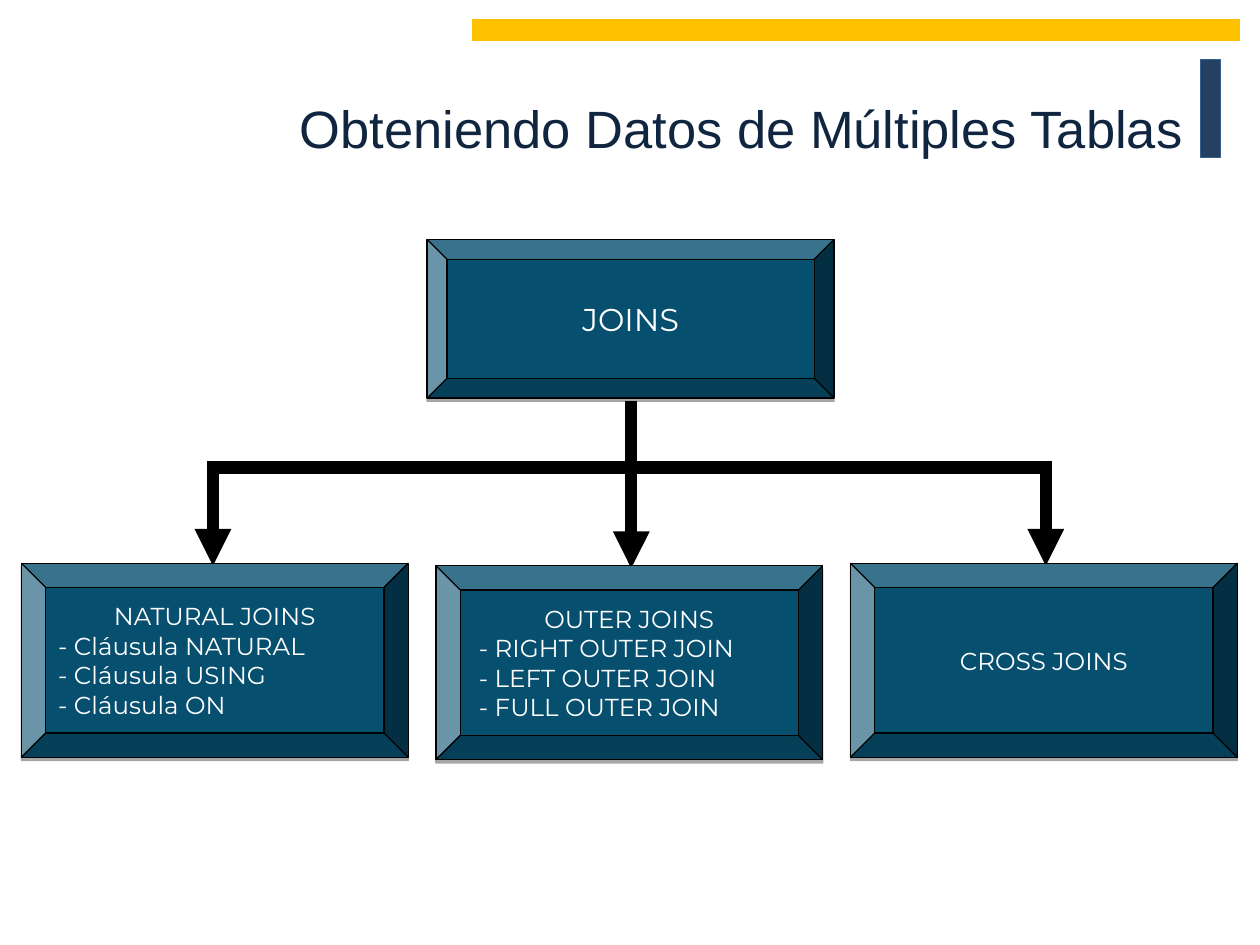
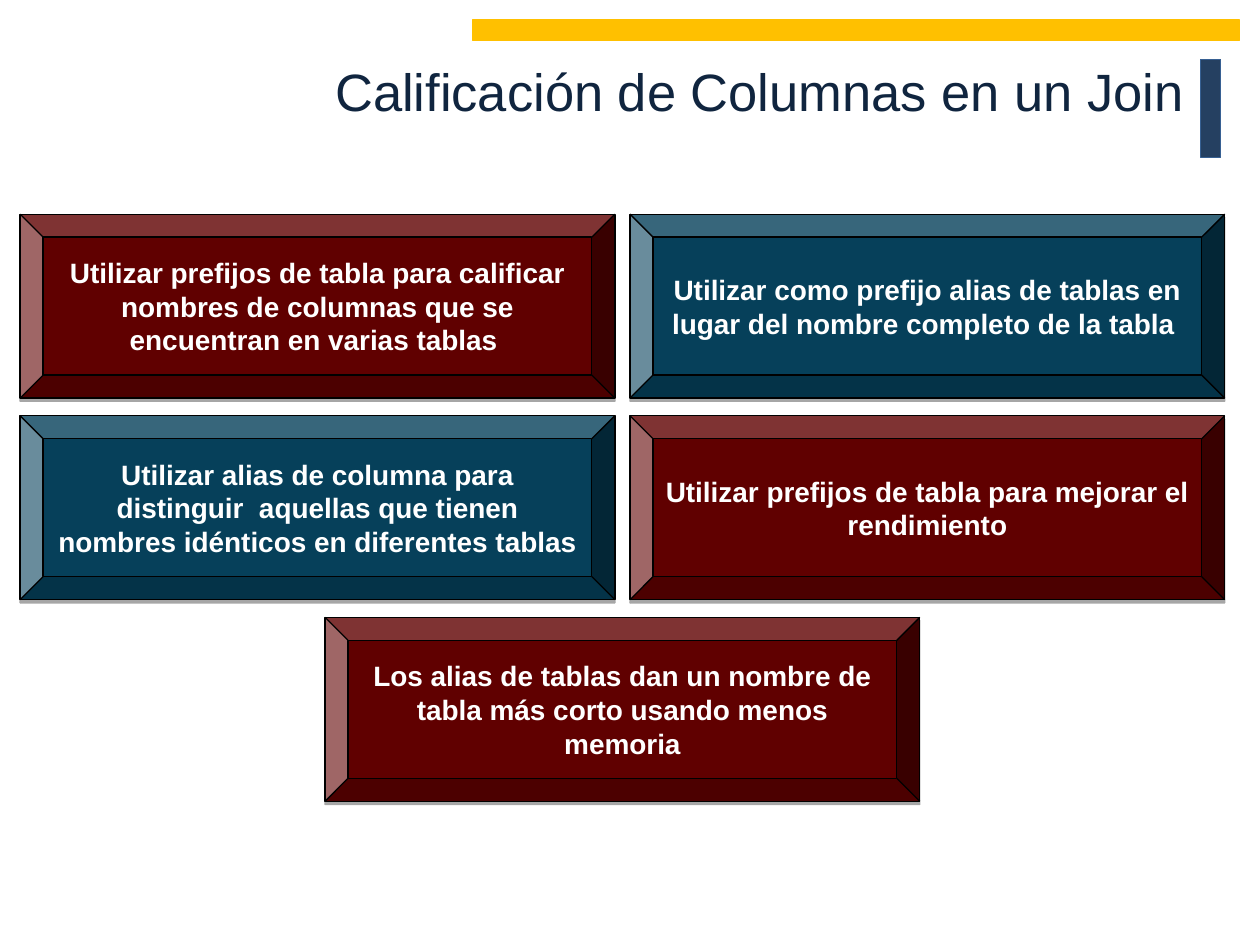
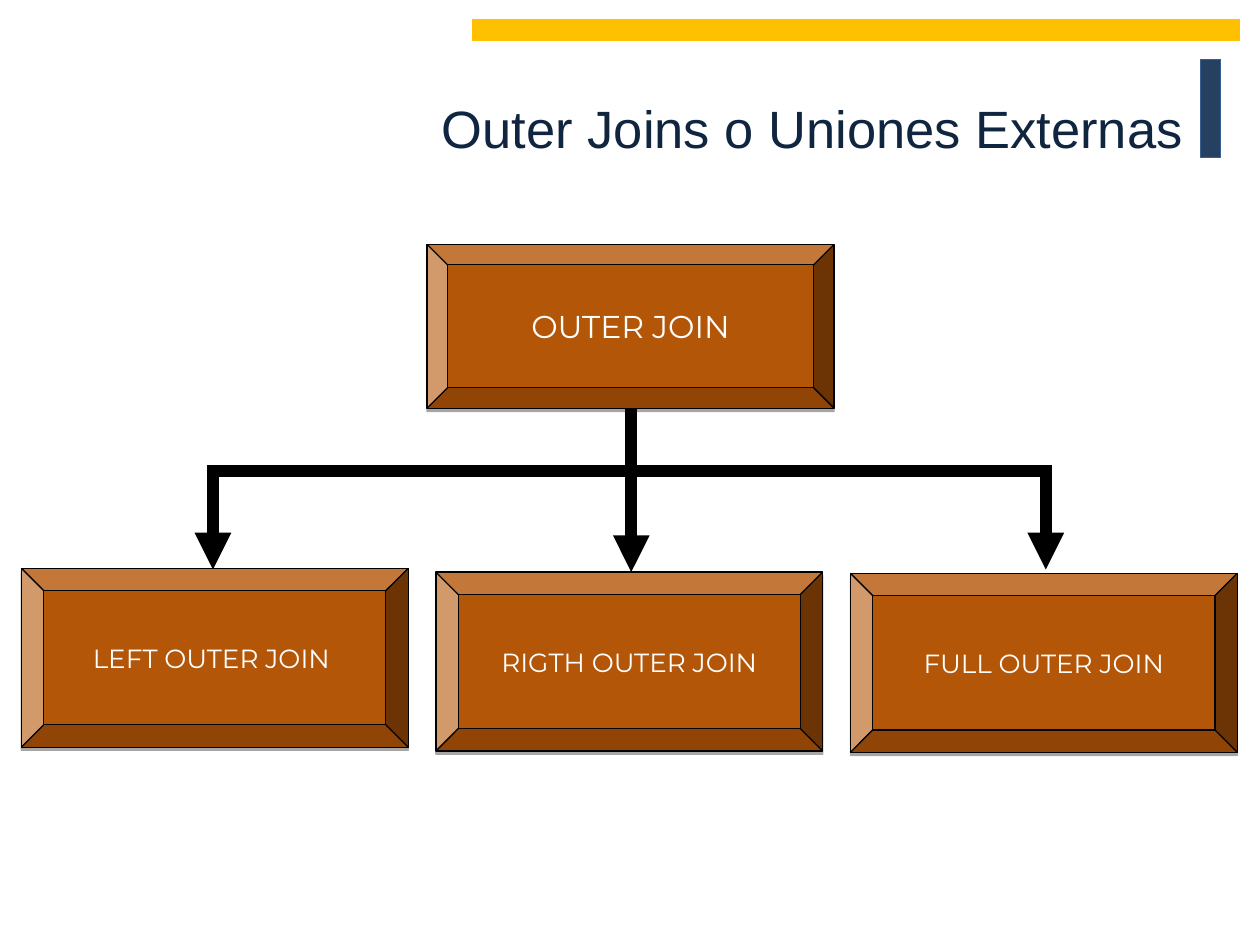
from dataclasses import dataclass
from itertools import cycle
from typing import NamedTuple

from lxml.etree import SubElement
from pptx import Presentation
from pptx.dml.color import RGBColor
from pptx.enum.shapes import MSO_CONNECTOR, MSO_SHAPE
from pptx.enum.text import MSO_ANCHOR, MSO_AUTO_SIZE, PP_ALIGN
from pptx.oxml.ns import qn
from pptx.util import Emu, Inches, Pt

WIDTH, HEIGHT = Inches(10), Inches(7.5)
COLS, ROWS = 100, 75


@dataclass(frozen=True)
class Theme:
    title: str = "10253F"
    marker: str = "254061"
    marker_edge: str = "376092"
    band: str = "FFC000"
    ink: str = "000000"
    text: str = "FFFFFF"
    teal: str = "074F6F"
    deep_teal: str = "06405A"
    maroon: str = "600000"
    orange: str = "B45608"
    title_font: str = "Arial"
    label_font: str = "Montserrat"
    title_size: float = 30
    root_size: float = 18
    advice_size: float = 16
    edge: float = 0.75
    arrow: float = 7


THEME = Theme()


class Box(NamedTuple):
    col: float
    row: float
    cols: float
    rows: float


class Style(NamedTuple):
    font: str
    size: float
    color: str = THEME.text
    bold: bool = False


class Leaf(NamedTuple):
    text: str
    row: float


class Tree(NamedTuple):
    title: str
    root: str
    root_row: float
    root_rows: float
    rail_row: float
    leaves: tuple[Leaf, ...]
    leaf_rows: float
    leaf_size: float
    fill: str


TITLE_BOX = Box(9.7, 2.1, 85.2, 16)
HIGH_TITLE_BOX = Box(9.8, 0, 85.2, 14.4)
TITLE_STYLE = Style(THEME.title_font, THEME.title_size, THEME.title)
ADVICE_STYLE = Style(THEME.title_font, THEME.advice_size, bold=True)

JOINS = Tree(
    "Obteniendo Datos de Múltiples Tablas", "JOINS", 19, 12.6, 37.1,
    (
        Leaf("NATURAL JOINS\n- Cláusula NATURAL\n- Cláusula USING\n- Cláusula ON", 44.7),
        Leaf("OUTER JOINS\n - RIGHT OUTER JOIN\n - LEFT OUTER JOIN\n - FULL OUTER JOIN", 44.9),
        Leaf("CROSS JOINS", 44.7),
    ),
    15.4, 14, THEME.teal,
)
OUTER_JOINS = Tree(
    "Outer Joins o Uniones Externas", "OUTER JOIN", 19.4, 13, 37.4,
    (
        Leaf("LEFT OUTER JOIN ", 45.1),
        Leaf("RIGTH OUTER JOIN", 45.4),
        Leaf("FULL OUTER JOIN", 45.5),
    ),
    14.2, 15, THEME.orange,
)
ADVICE = (
    (0, 0, "Utilizar prefijos de tabla para calificar nombres de columnas que se encuentran en varias tablas "),
    (1, 0, "Utilizar como prefijo alias de tablas en lugar del nombre completo de la tabla "),
    (1, 1, "Utilizar prefijos de tabla para mejorar el rendimiento"),
    (0, 1, "Utilizar alias de columna para distinguir  aquellas que tienen nombres idénticos en diferentes tablas"),
    (0.5, 2, "Los alias de tablas dan un nombre de tabla más corto usando menos memoria"),
)


def x(cols: float) -> Emu:
    return Emu(round(WIDTH * cols / COLS))


def y(rows: float) -> Emu:
    return Emu(round(HEIGHT * rows / ROWS))


def place(box: Box) -> tuple[Emu, Emu, Emu, Emu]:
    return x(box.col), y(box.row), x(box.cols), y(box.rows)


def rgb(color: str) -> RGBColor:
    return RGBColor.from_string(color)


def format_paragraph(p, style: Style, align: PP_ALIGN) -> None:
    p.alignment = align
    for r in p.runs:
        r.font.name = style.font
        r.font.size = Pt(style.size)
        r.font.bold = style.bold
        r.font.color.rgb = rgb(style.color)


def add_block(slide, kind: MSO_SHAPE, box: Box, fill: str, edge: str):
    sp = slide.shapes.add_shape(kind, *place(box))
    sp.fill.solid()
    sp.fill.fore_color.rgb = rgb(fill)
    sp.line.color.rgb = rgb(edge)
    sp.line.width = Pt(THEME.edge)
    sp.shadow.inherit = False
    return sp


def add_bevel(slide, box: Box, text: str, fill: str, style: Style) -> None:
    sp = add_block(slide, MSO_SHAPE.BEVEL, box, fill, THEME.ink)
    effects = sp.element.spPr.find(qn("a:effectLst"))
    shadow = SubElement(effects, qn("a:outerShdw"), dist=str(Pt(1.8)),
                        dir="5400000", rotWithShape="0")
    color = SubElement(shadow, qn("a:srgbClr"), val=THEME.ink)
    SubElement(color, qn("a:alpha"), val="35000")
    tf = sp.text_frame
    tf.word_wrap = True
    tf.vertical_anchor = MSO_ANCHOR.MIDDLE
    tf.text = text
    for i, p in enumerate(tf.paragraphs):
        format_paragraph(p, style, PP_ALIGN.LEFT if i else PP_ALIGN.CENTER)


def add_line(slide, start: tuple[float, float], end: tuple[float, float],
             arrow: bool = True) -> None:
    cxn = slide.shapes.add_connector(
        MSO_CONNECTOR.STRAIGHT, x(start[0]), y(start[1]), x(end[0]), y(end[1]))
    cxn.line.color.rgb = rgb(THEME.ink)
    cxn.line.width = Pt(THEME.arrow)
    props = cxn.element.spPr
    if arrow:
        SubElement(props.find(qn("a:ln")), qn("a:tailEnd"), type="triangle")
    SubElement(props, qn("a:effectLst"))


def add_slide(prs, title: str, box: Box):
    slide = prs.slides.add_slide(prs.slide_layouts.get_by_name("Title Only"))
    sp = slide.shapes.title
    sp.left, sp.top, sp.width, sp.height = place(box)
    tf = sp.text_frame
    tf.text = title
    tf.word_wrap = True
    tf.auto_size = MSO_AUTO_SIZE.NONE
    tf.vertical_anchor = MSO_ANCHOR.MIDDLE
    format_paragraph(tf.paragraphs[0], TITLE_STYLE, PP_ALIGN.RIGHT)
    return slide


def move_bands_to_layout(slide) -> None:
    bands = (
        (Box(95.3, 4.7, 1.6, 7.8), THEME.marker, THEME.marker_edge),
        (Box(37.5, 1.6, 60.9, 1.6), THEME.band, THEME.band),
    )
    for number, (box, fill, edge) in enumerate(bands, 100):
        sp = add_block(slide, MSO_SHAPE.RECTANGLE, box, fill, edge)
        sp.element.nvSpPr.cNvPr.id = number
        slide.slide_layout.shapes.element.append(sp.element)


def add_tree(prs, tree: Tree):
    slide = add_slide(prs, tree.title, TITLE_BOX)
    rail = tree.rail_row
    add_line(slide, (50.1, rail - 5.3), (50.1, rail + 8))
    add_line(slide, (16.4, rail), (83.5, rail), arrow=False)
    for col in (16.9, 83):
        add_line(slide, (col, rail + 0.4), (col, rail + 7.8))
    add_bevel(slide, Box(33.9, tree.root_row, 32.3, tree.root_rows), tree.root,
              tree.fill, Style(THEME.label_font, THEME.root_size))
    for i, leaf in enumerate(tree.leaves):
        add_bevel(slide, Box(1.7 + 32.9 * i, leaf.row, 30.7, tree.leaf_rows),
                  leaf.text, tree.fill, Style(THEME.label_font, tree.leaf_size))
    return slide


def add_advice(prs) -> None:
    slide = add_slide(prs, "Calificación de Columnas en un Join", HIGH_TITLE_BOX)
    fills = cycle((THEME.maroon, THEME.deep_teal))
    for (col, row, text), fill in zip(ADVICE, fills):
        box = Box(1.6 + 48.4 * col, 17 + 16 * row, 47.2, 14.6)
        add_bevel(slide, box, text, fill, ADVICE_STYLE)


def main() -> None:
    prs = Presentation()
    prs.slide_width, prs.slide_height = WIDTH, HEIGHT
    move_bands_to_layout(add_tree(prs, JOINS))
    add_advice(prs)
    add_tree(prs, OUTER_JOINS)
    prs.save("out.pptx")


if __name__ == "__main__":
    main()
